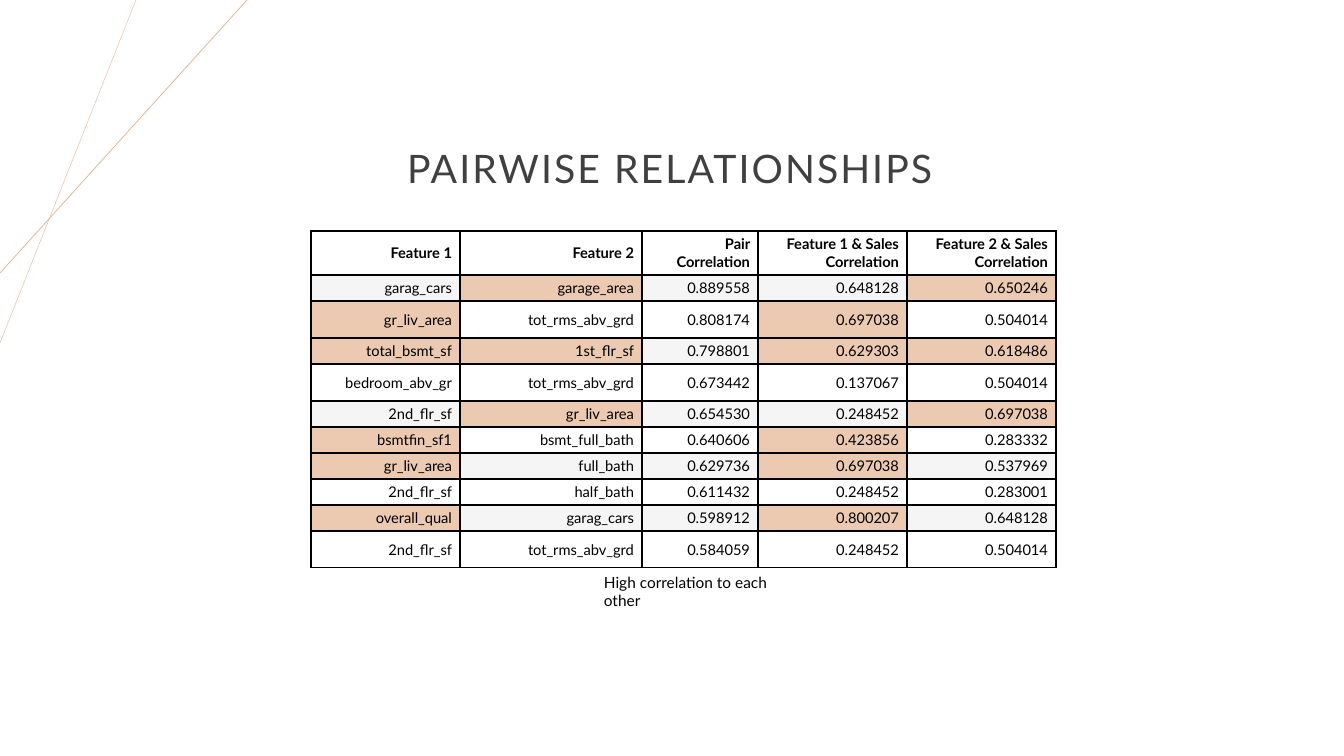
from lxml import etree
from pptx import Presentation
from pptx.dml.color import RGBColor
from pptx.enum.shapes import MSO_CONNECTOR
from pptx.enum.text import MSO_ANCHOR, MSO_AUTO_SIZE, PP_ALIGN
from pptx.oxml.ns import qn
from pptx.util import Pt

STRAIGHT = MSO_CONNECTOR.STRAIGHT
MIDDLE, TOP = MSO_ANCHOR.MIDDLE, MSO_ANCHOR.TOP
LEFT, CENTER, RIGHT = PP_ALIGN.LEFT, PP_ALIGN.CENTER, PP_ALIGN.RIGHT
NO_AUTOSIZE = MSO_AUTO_SIZE.NONE

EMU_PER_PX = 914400 / 100.8
FONT = "Lato"
BLACK, WHITE, BAND, HIGHLIGHT = "000000", "FFFFFF", "F5F5F5", "ECCAB1"

COLUMN_WIDTHS = [149, 182, 116, 149, 149]
HEADER_HEIGHT, ROW_HEIGHT, TALL_HEIGHT = 44, 26, 37
HEADERS = ["Feature 1", "Feature 2", "Pair Correlation",
           "Feature 1 & Sales\nCorrelation", "Feature 2 & Sales\nCorrelation"]
# Each pair: its five cells, then the numbers of the highlighted features
PAIRS = [
    ("garag_cars", "garage_area", "0.889558", "0.648128", "0.650246", [2]),
    ("gr_liv_area", "tot_rms_abv_grd", "0.808174", "0.697038", "0.504014", [1]),
    ("total_bsmt_sf", "1st_flr_sf", "0.798801", "0.629303", "0.618486", [1, 2]),
    ("bedroom_abv_gr", "tot_rms_abv_grd", "0.673442", "0.137067", "0.504014", []),
    ("2nd_flr_sf", "gr_liv_area", "0.654530", "0.248452", "0.697038", [2]),
    ("bsmtfin_sf1", "bsmt_full_bath", "0.640606", "0.423856", "0.283332", [1]),
    ("gr_liv_area", "full_bath", "0.629736", "0.697038", "0.537969", [1]),
    ("2nd_flr_sf", "half_bath", "0.611432", "0.248452", "0.283001", []),
    ("overall_qual", "garag_cars", "0.598912", "0.800207", "0.648128", [1]),
    ("2nd_flr_sf", "tot_rms_abv_grd", "0.584059", "0.248452", "0.504014", []),
]


def px(n):
    return round(n * EMU_PER_PX)


def rgb(value):
    return RGBColor.from_string(value)


def write(tf, text, size, color=BLACK, bold=False, align=LEFT):
    """Fill a text frame, one paragraph per line of text; return the last run."""
    for i, line in enumerate(text.split("\n")):
        p = tf.add_paragraph() if i else tf.paragraphs[0]
        p.alignment = align
        r = p.add_run()
        r.text = line
        r.font.name, r.font.size, r.font.bold = FONT, Pt(size), bold
        r.font.color.rgb = rgb(color)
    return r


def add_corner_lines(s, x, y):
    for width, height, weight in [(136, 343, 0.25), (247, 273, 0.5)]:
        line = s.shapes.add_connector(STRAIGHT, px(x + width), px(y), px(x), px(y + height))
        line.line.color.rgb = rgb("E2B18D")
        line.line.width = Pt(weight)
        etree.SubElement(line._element.spPr, qn("a:effectLst"))


def add_title(s, x, y, w, h):
    sp = s.shapes.title
    sp.left, sp.top, sp.width, sp.height = px(x), px(y), px(w), px(h)
    tf = sp.text_frame
    tf.word_wrap = True
    tf.auto_size = NO_AUTOSIZE
    tf.vertical_anchor = MIDDLE
    r = write(tf, "PAIRWISE RELATIONSHIPS", 28, "404040", align=CENTER)
    r.font._element.set("spc", "150")
    tf.paragraphs[0].line_spacing = 0.9


def set_borders(cell):
    tc_pr = cell._tc.get_or_add_tcPr()
    for i, side in enumerate(["a:lnL", "a:lnR", "a:lnT", "a:lnB"]):
        ln = etree.Element(qn(side), w=str(Pt(1)))
        fill = etree.SubElement(ln, qn("a:solidFill"))
        etree.SubElement(fill, qn("a:srgbClr"), val=BLACK)
        tc_pr.insert(i, ln)


def fill_cell(cell, text, fill, bold):
    cell.margin_left = cell.margin_right = px(8)
    cell.margin_top = cell.margin_bottom = px(4)
    cell.vertical_anchor = MIDDLE
    cell.fill.solid()
    cell.fill.fore_color.rgb = rgb(fill)
    set_borders(cell)
    write(cell.text_frame, text, 10.5, bold=bold, align=RIGHT)


def add_pairs_table(s, x, y):
    """Place the table at x, y and return its bottom edge."""
    heights = [HEADER_HEIGHT] + [
        TALL_HEIGHT if pair[1] == "tot_rms_abv_grd" else ROW_HEIGHT for pair in PAIRS]
    table = s.shapes.add_table(len(heights), len(COLUMN_WIDTHS), px(x), px(y),
                               px(sum(COLUMN_WIDTHS)), px(sum(heights))).table
    table.first_row = table.horz_banding = False
    for column, width in zip(table.columns, COLUMN_WIDTHS):
        column.width = px(width)
    for row, height in zip(table.rows, heights):
        row.height = px(height)
    for c, text in enumerate(HEADERS):
        fill_cell(table.cell(0, c), text, WHITE, True)
    for r, (*values, features) in enumerate(PAIRS, 1):
        highlighted = [c for n in features for c in (n - 1, n + 2)]
        for c, text in enumerate(values):
            fill = HIGHLIGHT if c in highlighted else BAND if r % 2 else WHITE
            fill_cell(table.cell(r, c), text, fill, False)
    return y + sum(heights)


def add_caption(s, x, y, w, h):
    tf = s.shapes.add_textbox(px(x), px(y), px(w), px(h)).text_frame
    tf.word_wrap = True
    tf.vertical_anchor = TOP
    write(tf, "High correlation to each other", 11)


def main():
    prs = Presentation()
    prs.slide_width, prs.slide_height = px(1344), px(756)
    s = prs.slides.add_slide(prs.slide_layouts[5])
    add_corner_lines(s, 0, 0)
    add_title(s, 206, 98, 928, 146)
    bottom = add_pairs_table(s, 311, 231)
    add_caption(s, 594, bottom, 220, 29)
    prs.save("out.pptx")


if __name__ == "__main__":
    main()
